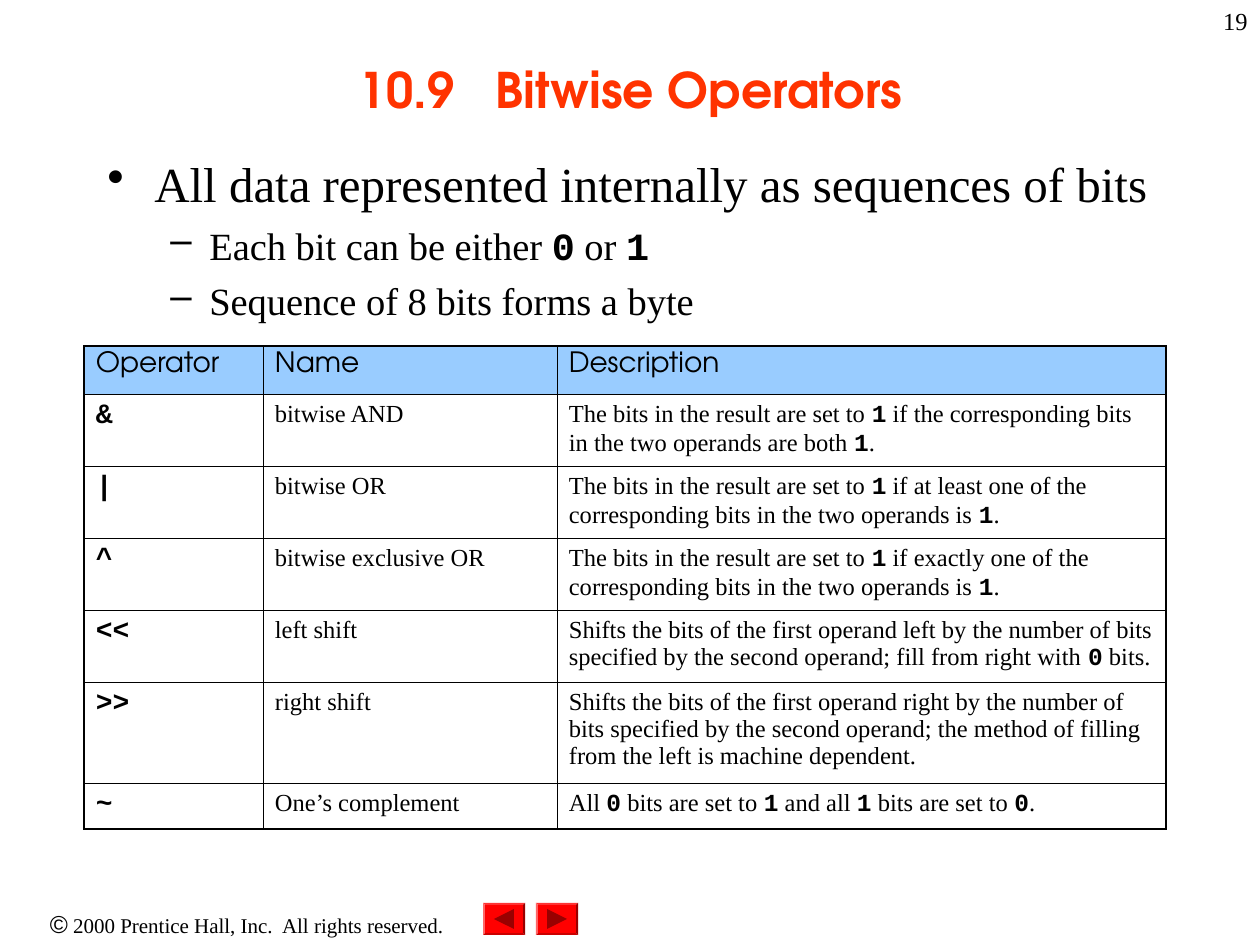
from dataclasses import dataclass

from lxml import etree
from pptx import Presentation
from pptx.dml.color import RGBColor
from pptx.enum.shapes import MSO_SHAPE
from pptx.enum.text import MSO_ANCHOR, PP_ALIGN
from pptx.oxml.ns import qn
from pptx.util import Emu, Pt

BEVEL, TRIANGLE = MSO_SHAPE.BEVEL, MSO_SHAPE.ISOSCELES_TRIANGLE
MIDDLE, TOP = MSO_ANCHOR.MIDDLE, MSO_ANCHOR.TOP
LEFT, CENTER, RIGHT = PP_ALIGN.LEFT, PP_ALIGN.CENTER, PP_ALIGN.RIGHT
EMU_PER_PX = 914400 / 126


@dataclass(frozen=True)
class Theme:
    ink: str = "000000"
    title: str = "FF3300"
    header: str = "99CCFF"
    button: str = "FF0000"
    arrow: str = "990000"
    serif: str = "Times New Roman"
    display: str = "TeX Gyre Adventor"
    sans: str = "Arial"
    mono: str = "Courier New"
    large: int = 28
    medium: int = 22
    operator: int = 16
    small: int = 14
    tiny: int = 12
    outer_line: float = 1.08
    inner_line: float = 0.45


THEME = Theme()
COLUMNS = [179, 294, 609]
ROWS = [48, 72, 72, 72, 72, 101, 46]
HEADINGS = ["Operator", "Name", "Description"]
# Backticks mark code
OPERATORS = [
    ("`&`", "bitwise AND",
     "The bits in the result are set to `1` if the corresponding bits "
     "in the two operands are both `1`."),
    ("`|`", "bitwise OR",
     "The bits in the result are set to `1` if at least one of the "
     "corresponding bits in the two operands is `1`."),
    ("`^`", "bitwise exclusive OR",
     "The bits in the result are set to `1` if exactly one of the "
     "corresponding bits in the two operands is `1`."),
    ("`<<`", "left shift",
     "Shifts the bits of the first operand left by the number of bits "
     "specified by the second operand; fill from right with `0` bits."),
    ("`>>`", "right shift",
     "Shifts the bits of the first operand right by the number of bits "
     "specified by the second operand; the method of filling from the left "
     "is machine dependent."),
    ("`~`", "One’s complement",
     "All `0` bits are set to `1` and all `1` bits are set to `0`."),
]


def px(length):
    return Emu(round(length * EMU_PER_PX))


def add_span(para, text, size, name=THEME.serif, bold=False, color=THEME.ink):
    span = para.add_run()
    span.text = text
    for key, value in {"size": Pt(size), "name": name, "bold": bold}.items():
        setattr(span.font, key, value)
    span.font.color.rgb = RGBColor.from_string(color)


def add_marked_text(para, text, size):
    for index, part in enumerate(text.split("`")):
        if part:
            is_code = index % 2 == 1
            name = THEME.mono if is_code else THEME.serif
            add_span(para, part, size, name, bold=is_code)


def add_text_box(page, left, top, width, height, align=LEFT, anchor=TOP):
    box = page.shapes.add_textbox(px(left), px(top), px(width), px(height))
    frame = box.text_frame
    frame.word_wrap = True
    frame.vertical_anchor = anchor
    frame.paragraphs[0].alignment = align
    return frame


def set_bullet(para, mark, margin, hang):
    props = para._p.get_or_add_pPr()
    props.set("marL", str(px(margin)))
    props.set("indent", str(-px(hang)))
    etree.SubElement(props, qn("a:buChar")).set("char", mark)


def add_bullets(page):
    frame = add_text_box(page, 95, 147, 1071, 746)
    lead = frame.paragraphs[0]
    set_bullet(lead, "•", 47, 47)
    add_marked_text(lead, "All data represented internally as sequences of bits",
                    THEME.large)
    for text in ("Each bit can be either `0` or `1`",
                 "Sequence of 8 bits forms a byte"):
        para = frame.add_paragraph()
        para.level = 1
        set_bullet(para, "–", 102, 39)
        para.space_before = Pt(5.5)
        add_marked_text(para, text, THEME.medium)


def set_borders(cell, widths):
    props = cell._tc.get_or_add_tcPr()
    for side, width in widths.items():
        line = etree.SubElement(props, qn(f"a:ln{side}"), w=str(Pt(width)))
        fill = etree.SubElement(line, qn("a:solidFill"))
        etree.SubElement(fill, qn("a:srgbClr"), val=THEME.ink)


def add_operator_table(page):
    last_row, last_column = len(ROWS) - 1, len(COLUMNS) - 1
    table = page.shapes.add_table(
        len(ROWS), len(COLUMNS), px(84), px(346),
        px(sum(COLUMNS)), px(sum(ROWS))).table
    table.first_row = table.horz_banding = False
    for column, width in zip(table.columns, COLUMNS):
        column.width = px(width)
    for row, height in zip(table.rows, ROWS):
        row.height = px(height)

    for r, texts in enumerate([HEADINGS, *OPERATORS]):
        for c, text in enumerate(texts):
            cell = table.cell(r, c)
            cell.margin_left = cell.margin_right = px(12)
            edges = {"L": c == 0, "R": c == last_column,
                     "T": r == 0, "B": r == last_row}
            set_borders(cell, {
                side: THEME.outer_line if is_edge else THEME.inner_line
                for side, is_edge in edges.items()})
            para = cell.text_frame.paragraphs[0]
            if r == 0:
                cell.fill.solid()
                cell.fill.fore_color.rgb = RGBColor.from_string(THEME.header)
                add_span(para, text, THEME.operator, THEME.display)
            else:
                cell.fill.background()
                size = THEME.operator if c == 0 else THEME.small
                add_marked_text(para, text, size)


def add_plain_shape(page, kind, left, top, width, height, color):
    shape = page.shapes.add_shape(kind, px(left), px(top), px(width), px(height))
    shape.shadow.inherit = False
    shape.fill.solid()
    shape.fill.fore_color.rgb = RGBColor.from_string(color)
    shape.line.fill.background()
    return shape


def add_nav_button(page, left, turn):
    button = add_plain_shape(page, BEVEL, left, 903, 42, 32, THEME.button)
    button.adjustments[0] = 0.06
    arrow = add_plain_shape(page, TRIANGLE, left + 11, 909, 20, 20, THEME.arrow)
    arrow.rotation = turn


def main():
    deck = Presentation()
    deck.slide_width, deck.slide_height = px(1260), px(945)
    page = deck.slides.add_slide(deck.slide_layouts[6])

    # Footer and navigation
    footer = add_text_box(page, 0, 903, 494, 42, CENTER).paragraphs[0]
    add_span(footer, "©", THEME.small, THEME.sans)
    add_span(footer, " 2000 Prentice Hall, Inc.  All rights reserved.", THEME.tiny)
    add_nav_button(page, 536, 90)
    add_nav_button(page, 483, 270)

    # Title and bullets
    title = add_text_box(page, 95, 10, 1071, 158, CENTER, MIDDLE).paragraphs[0]
    add_span(title, "10.9   Bitwise Operators", THEME.large, THEME.display,
             bold=True, color=THEME.title)
    add_bullets(page)

    # Operator table
    add_operator_table(page)

    # Page number
    number = add_text_box(page, 998, 0, 262, 63, RIGHT).paragraphs[0]
    add_span(number, "19", THEME.small)

    deck.save("out.pptx")


if __name__ == "__main__":
    main()
